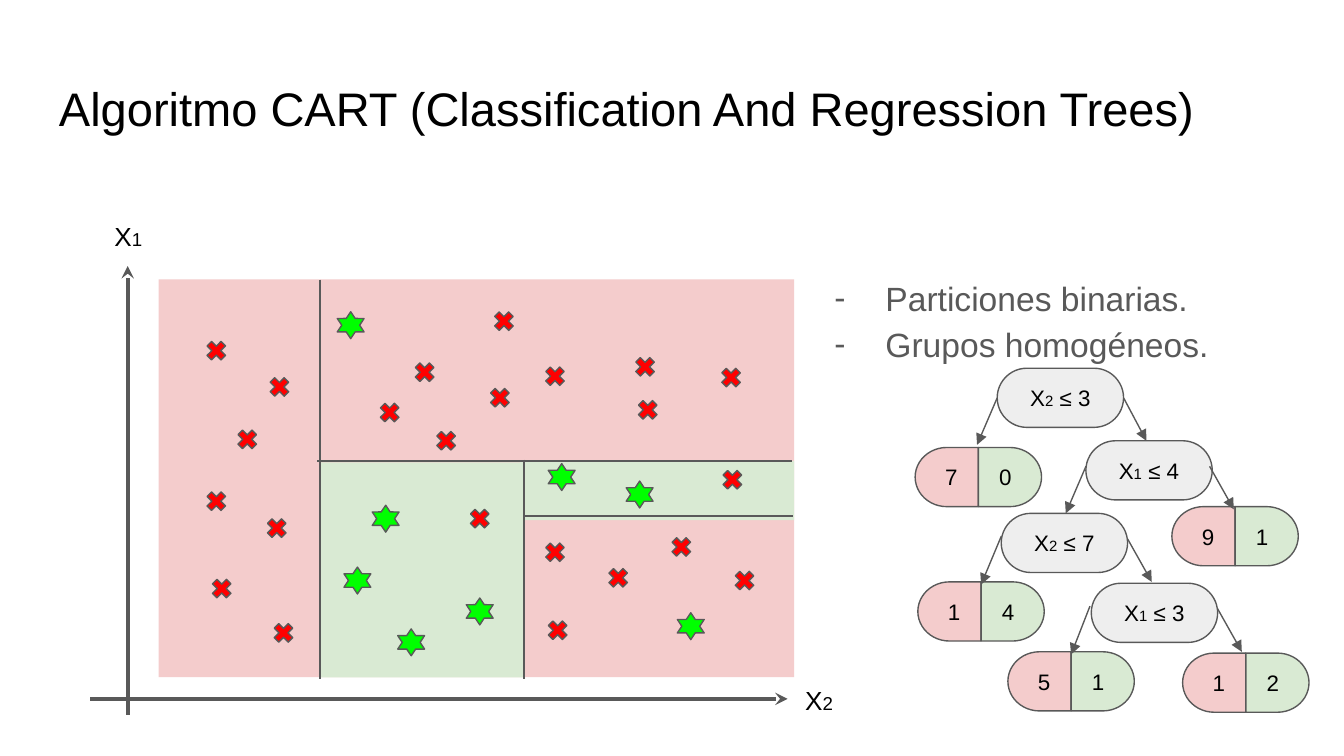
from lxml import etree
from pptx import Presentation
from pptx.dml.color import RGBColor
from pptx.enum.shapes import MSO_CONNECTOR as LINE, MSO_SHAPE as SHAPE
from pptx.enum.text import MSO_ANCHOR as ANCHOR, PP_ALIGN as ALIGN
from pptx.oxml.ns import qn
from pptx.util import Inches, Pt

HUES = {"red": "F4CCCC", "green": "D9EAD3", "node": "EEEEEE", "gray": "595959",
        "cross": "FF0000", "star": "00FF00", "black": "000000"}
FONT = "Arial"

# Content
TITLE = "Algoritmo CART (Classification And Regression Trees)"
ITEMS = ["Particiones binarias.", "Grupos homogéneos."]

# Plot: left, top, width, height, colour
AREAS = [(1.18, 2.08, 4.73, 2.96, "red"), (3.87, 3.43, 2.04, 0.44, "green"),
         (2.39, 3.44, 1.51, 1.6, "green")]
AXES = [(0.95, 5.32, 0.95, 1.98), (0.67, 5.2, 5.86, 5.2)]
NAMES = [("1", 0.72, 1.54), ("2", 5.86, 4.99)]
SPLITS = [(2.38, 2.08, 2.38, 5.05), (2.36, 3.43, 5.89, 3.43),
          (3.9, 3.42, 3.9, 5.05), (3.91, 3.84, 5.9, 3.84)]
STARS = [(5.04, 4.56), (4.66, 3.58), (4.08, 3.45), (3.47, 4.45),
         (2.96, 4.68), (2.77, 3.76), (2.56, 4.22), (2.51, 2.32)]
CROSSES = [(1.51, 2.51), (1.98, 2.78), (1.74, 3.17), (1.51, 3.63), (1.55, 4.28),
           (2.01, 4.61), (1.96, 3.83), (4.05, 4.59), (4.5, 4.2), (4.03, 4.01),
           (3.47, 3.76), (2.8, 2.97), (3.06, 2.67), (3.22, 3.18), (4.97, 3.97),
           (5.44, 4.22), (5.35, 3.47), (5.34, 2.71), (4.72, 2.95), (4.7, 2.63),
           (4.03, 2.7), (3.62, 2.86), (3.65, 2.29)]
MARK = 0.2

# Tree: variable, limit, left, top / red count, green count, left, top
NODES = [("2", 3, 7.42, 2.74), ("1", 4, 8.08, 3.28),
         ("2", 7, 7.45, 3.82), ("1", 3, 8.12, 4.34)]
LEAVES = [(7, 0, 6.81, 3.33), (1, 4, 6.83, 4.33), (9, 1, 8.72, 3.77),
          (5, 1, 7.5, 4.85), (1, 2, 8.8, 4.86)]
ARROWS = [(7.42, 2.96, 7.27, 3.31), (8.36, 2.96, 8.53, 3.28),
          (9, 3.47, 9.18, 3.79), (8.08, 3.47, 7.93, 3.82),
          (7.45, 3.99, 7.3, 4.35), (8.39, 4.01, 8.57, 4.33),
          (8.11, 4.51, 7.97, 4.87), (9.06, 4.53, 9.24, 4.85)]
HALF, TALL = 0.47, 0.44

# Slide, 16:9
deck = Presentation()
deck.slide_width = Inches(10)
deck.slide_height = Inches(10 * 9 / 16)
slide = deck.slides.add_slide(deck.slide_layouts[6])
shapes = slide.shapes


def color(name):
    return RGBColor.from_string(HUES[name])


def style(para, size=None, hue="black", align=None):
    para.font.name = FONT
    para.font.color.rgb = color(hue)
    para.alignment = align
    if size:
        para.font.size = Pt(size)


def frame(shape, anchor=ANCHOR.TOP):
    text = shape.text_frame
    text.word_wrap = True
    text.vertical_anchor = anchor
    text.margin_left = text.margin_right = Inches(0.1)
    text.margin_top = text.margin_bottom = Inches(0.1)
    return text


def box(x, y, w, h):
    return frame(shapes.add_textbox(*map(Inches, (x, y, w, h))))


def block(kind, x, y, w, h, hue, edge=True, home=shapes):
    shape = home.add_shape(kind, *map(Inches, (x, y, w, h)))
    shape.shadow.inherit = False
    shape.fill.solid()
    shape.fill.fore_color.rgb = color(hue)
    if edge:
        shape.line.color.rgb = color("gray")
        shape.line.width = Pt(0.75)
    else:
        shape.line.fill.background()
    return shape


def line(ends, width=0.75, tip=None):
    link = shapes.add_connector(LINE.STRAIGHT, *map(Inches, ends))
    link.line.color.rgb = color("gray")
    link.line.width = Pt(width)
    if tip:
        etree.SubElement(link.line._get_or_add_ln(), qn("a:tailEnd"), type=tip)
    etree.SubElement(link._element.spPr, qn("a:effectLst"))


def label(text, parts):
    para = text.paragraphs[0]
    for words, size in parts:
        run = para.add_run()
        run.text = words
        run.font.size = Pt(size)
    style(para, align=ALIGN.CENTER)


# Title and list
para = box(0.34, 0.49, 9.32, 0.63).paragraphs[0]
para.text = TITLE
style(para, 25.2)

body = box(5.99, 1.92, 3.67, 0.86)
for i, item in enumerate(ITEMS):
    para = body.add_paragraph() if i else body.paragraphs[0]
    para.text = item
    para.line_spacing = 1.15
    props = para._p.get_or_add_pPr()
    props.set("marL", str(Inches(0.5)))
    props.set("indent", str(Inches(-0.38)))
    tint = etree.SubElement(props, qn("a:buClr"))
    etree.SubElement(tint, qn("a:srgbClr"), val=HUES["gray"])
    etree.SubElement(props, qn("a:buFont"), typeface=FONT)
    etree.SubElement(props, qn("a:buChar"), char="-")
    style(para, 18, "gray")

# Plot
for *place, hue in AREAS:
    block(SHAPE.RECTANGLE, *place, hue, edge=False)
for ends in AXES:
    line(ends, 2.25, "stealth")
for index, x, y in NAMES:
    label(box(x, y, HALF, TALL), [("X", 14), (index, 10)])
for kind, hue, spots in ((SHAPE.STAR_6_POINT, "star", STARS),
                         (SHAPE.MATH_MULTIPLY, "cross", CROSSES)):
    for x, y in spots:
        block(kind, x, y, MARK, MARK, hue)
for ends in SPLITS:
    line(ends)

# Tree
for index, limit, x, y in NODES:
    node = block(SHAPE.ROUNDED_RECTANGLE, x, y, 2 * HALF, TALL, "node")
    node.adjustments[0] = 0.5
    label(frame(node, ANCHOR.MIDDLE), [("X", 12), (index, 8), (f" ≤ {limit}", 12)])
for *counts, x, y in LEAVES:
    group = shapes.add_group_shape()
    for i, (count, hue) in enumerate(zip(counts, ("red", "green"))):
        half = block(SHAPE.FLOWCHART_DELAY, x + i * HALF, y, HALF, TALL, hue,
                     home=group.shapes)
        if hue == "red":
            half._element.spPr.xfrm.set("flipH", "1")
        label(frame(half, ANCHOR.MIDDLE), [(str(count), 12)])
for ends in ARROWS:
    line(ends, tip="triangle")

deck.save("out.pptx")
